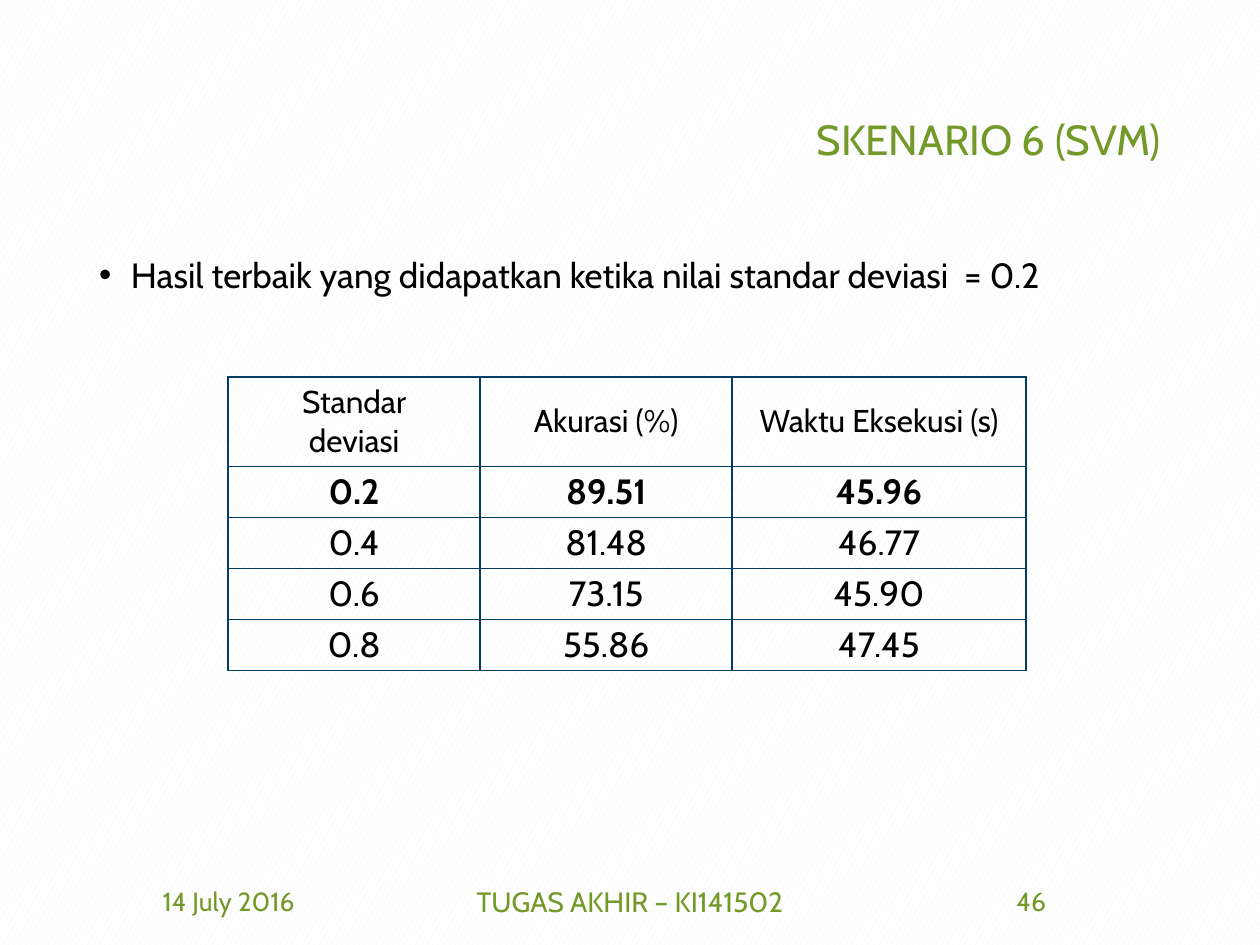
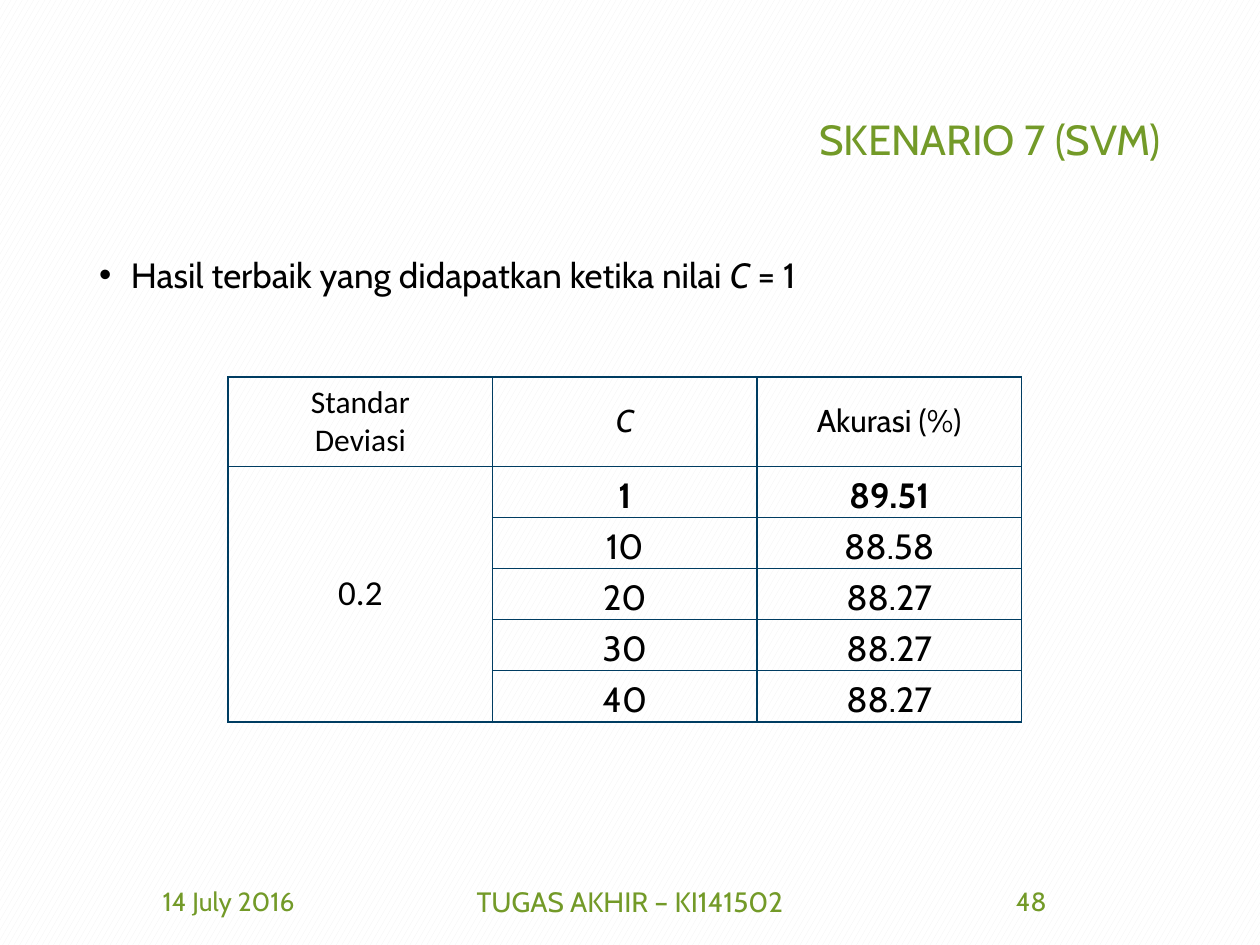
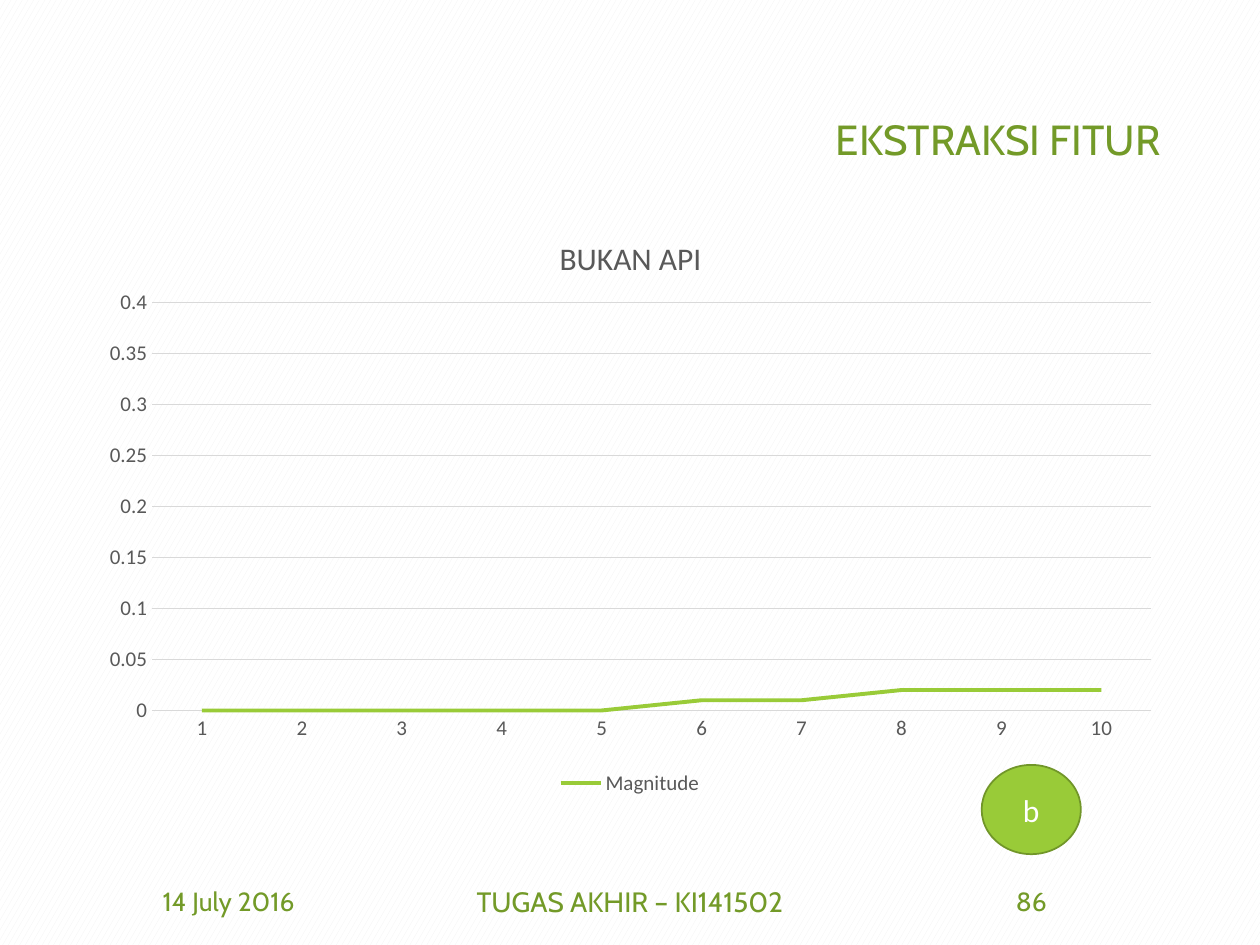
from dataclasses import dataclass

from lxml.etree import SubElement
from pptx import Presentation
from pptx.chart.data import CategoryChartData
from pptx.dml.color import RGBColor
from pptx.enum.chart import XL_CHART_TYPE, XL_LEGEND_POSITION, XL_TICK_MARK
from pptx.enum.dml import MSO_PATTERN
from pptx.enum.shapes import MSO_SHAPE
from pptx.enum.text import MSO_ANCHOR, PP_ALIGN
from pptx.oxml.ns import qn
from pptx.util import Cm, Pt

DATE = "14 July 2016"
FOOTER = "TUGAS AKHIR – KI141502"

TABLE_PAGES = [
    {
        "title": "SKENARIO 6 (SVM)",
        "number": "46",
        "finding": [("Hasil terbaik yang didapatkan ketika nilai standar deviasi  = 0.2", False)],
        "header": ["Standar\ndeviasi", "Akurasi (%)", "Waktu Eksekusi (s)"],
        "rows": [
            ["0.2", "89.51", "45.96"],
            ["0.4", "81.48", "46.77"],
            ["0.6", "73.15", "45.90"],
            ["0.8", "55.86", "47.45"],
        ],
        "widths": [5.08, 5.08, 5.92],
        "label_anchor": MSO_ANCHOR.TOP,
        "value_anchor": MSO_ANCHOR.MIDDLE,
        "shared_deviation": False,
    },
    {
        "title": "SKENARIO 7 (SVM)",
        "number": "48",
        "finding": [("Hasil terbaik yang didapatkan ketika nilai ", False), ("C", True), (" = 1", False)],
        "header": ["Standar\nDeviasi", "C", "Akurasi (%)"],
        "rows": [
            ["0.2", "1", "89.51"],
            ["", "10", "88.58"],
            ["", "20", "88.27"],
            ["", "30", "88.27"],
            ["", "40", "88.27"],
        ],
        "widths": [5.33, 5.33, 5.33],
        "label_anchor": MSO_ANCHOR.MIDDLE,
        "value_anchor": MSO_ANCHOR.BOTTOM,
        "shared_deviation": True,
    },
]

CHART_PAGE = {
    "title": "EKSTRAKSI FITUR",
    "number": "86",
    "chart_title": "BUKAN API",
    "series": "Magnitude",
    "values": [0, 0, 0, 0, 0, 0.01, 0.01, 0.02, 0.02, 0.02],
    "badge": "b",
}


@dataclass(frozen=True)
class Theme:
    font: str = "Cabin"
    plain_font: str = "Calibri"
    green: str = "739A28"
    lime: str = "99CB38"
    lime_edge: str = "719629"
    navy: str = "003D62"
    black: str = "000000"
    white: str = "FFFFFF"
    pattern: str = "F2F2F2"
    gray: str = "595959"
    grid: str = "D9D9D9"
    title_size: int = 24
    body_size: int = 20
    label_size: int = 18
    footer_size: int = 16
    small_size: int = 15
    axis_size: int = 12


THEME = Theme()
MARGIN, CONTENT_WIDTH = 1.75, 21.9
TABLE_LEFT, TABLE_TOP = 4.6, 7.6
HEADER_HEIGHT, ROW_HEIGHT = 1.8, 1.03


def rgb(value):
    return RGBColor.from_string(value)


def set_font(font, size, color, name=THEME.font, bold=False):
    font.name, font.size, font.bold = name, Pt(size), bold
    font.color.rgb = rgb(color)


def add_box(page, left, top, width, height, anchor=MSO_ANCHOR.MIDDLE):
    frame = page.shapes.add_textbox(Cm(left), Cm(top), Cm(width), Cm(height)).text_frame
    frame.word_wrap = True
    frame.vertical_anchor = anchor
    return frame.paragraphs[0]


def add_page(deck, title, number):
    """Add a page with the shared background, title and footer."""
    page = deck.slides.add_slide(deck.slide_layouts[6])
    fill = page.background.fill
    fill.patterned()
    fill.pattern = MSO_PATTERN.LARGE_CONFETTI
    fill.fore_color.rgb, fill.back_color.rgb = rgb(THEME.pattern), rgb(THEME.white)

    para = add_box(page, MARGIN, 1.02, CONTENT_WIDTH, 3.68)
    para.text, para.alignment, para.line_spacing = title, PP_ALIGN.RIGHT, 0.9
    set_font(para.font, THEME.title_size, THEME.green)

    footers = [
        (DATE, MARGIN, 5.72, THEME.small_size),
        (FOOTER, 8.41, 8.58, THEME.footer_size),
        (number, 17.93, 5.72, THEME.small_size),
    ]
    for text, left, width, size in footers:
        para = add_box(page, left, 17.65, width, 1.02)
        para.text, para.alignment = text, PP_ALIGN.CENTER
        set_font(para.font, size, THEME.green)
    return page


def add_finding(page, spans):
    para = add_box(page, MARGIN, 5.08, CONTENT_WIDTH, 12.1, MSO_ANCHOR.TOP)
    properties = para._p.get_or_add_pPr()
    properties.set("marL", str(Cm(0.64)))
    properties.set("indent", str(-Cm(0.64)))
    SubElement(properties, qn("a:buFont"), typeface="Arial")
    SubElement(properties, qn("a:buChar"), char="•")
    para.line_spacing = 0.9
    set_font(para.font, THEME.body_size, THEME.black)
    for text, italic in spans:
        span = para.add_run()
        span.text, span.font.italic = text, italic


def add_borders(cell):
    properties = cell._tc.get_or_add_tcPr()
    for side in ("lnL", "lnR", "lnT", "lnB"):
        line = SubElement(properties, qn(f"a:{side}"), w=str(Pt(1)))
        fill = SubElement(line, qn("a:solidFill"))
        SubElement(fill, qn("a:srgbClr"), val=THEME.navy)


def add_results(page, content):
    rows = [content["header"], *content["rows"]]
    widths = content["widths"]
    heights = [HEADER_HEIGHT] + [ROW_HEIGHT] * len(content["rows"])
    table = page.shapes.add_table(
        len(rows), len(widths), Cm(TABLE_LEFT), Cm(TABLE_TOP), Cm(sum(widths)), Cm(sum(heights))
    ).table
    table.first_row = table.horz_banding = False
    for column, width in zip(table.columns, widths):
        column.width = Cm(width)
    for row, height in zip(table.rows, heights):
        row.height = Cm(height)
    if content["shared_deviation"]:
        table.cell(1, 0).merge(table.cell(len(rows) - 1, 0))

    for r, texts in enumerate(rows):
        for c, text in enumerate(texts):
            cell = table.cell(r, c)
            if cell.is_spanned:
                continue
            add_borders(cell)
            cell.fill.background()
            cell.text = text
            shared = content["shared_deviation"] and c == 0
            if r == 0:
                cell.vertical_anchor = content["label_anchor"] if c == 0 else MSO_ANCHOR.MIDDLE
            elif shared:
                cell.vertical_anchor = MSO_ANCHOR.MIDDLE
            else:
                cell.vertical_anchor = content["value_anchor"]
                cell.margin_left = cell.margin_right = Cm(0.18)
                cell.margin_top = cell.margin_bottom = 0
            for para in cell.text_frame.paragraphs:
                para.alignment = PP_ALIGN.CENTER
                set_font(
                    para.font,
                    THEME.body_size if r else THEME.label_size,
                    THEME.black,
                    THEME.plain_font if shared else THEME.font,
                    bold=r == 1 and not shared,
                )
                para.font.italic = text == "C"


def place_in_chart(parent, index, **settings):
    """Give a chart part a manual layout, in fractions of the chart."""
    for old in parent.findall(qn("c:layout")):
        parent.remove(old)
    layout = SubElement(parent, qn("c:layout"))
    parent.insert(index, layout)
    manual = SubElement(layout, qn("c:manualLayout"))
    for name, value in settings.items():
        SubElement(manual, qn(f"c:{name}"), val=str(value))


def add_magnitude_chart(page, content):
    data = CategoryChartData()
    data.categories = [str(n + 1) for n in range(len(content["values"]))]
    data.add_series(content["series"], content["values"])
    chart = page.shapes.add_chart(
        XL_CHART_TYPE.LINE, Cm(MARGIN), Cm(4.04), Cm(CONTENT_WIDTH), Cm(12.1), data
    ).chart
    set_font(chart.font, THEME.axis_size, THEME.gray, THEME.plain_font)

    chart.has_title = True
    title = chart.chart_title
    title.text_frame.text = content["chart_title"]
    set_font(title.text_frame.paragraphs[0].font, THEME.label_size, THEME.gray, THEME.plain_font)
    place_in_chart(title._element, 1, xMode="edge", yMode="edge", x=0.43, y=0.05)
    place_in_chart(
        chart._chartSpace.chart.plotArea, 0,
        layoutTarget="inner", xMode="edge", yMode="edge", x=0.06, y=0.17, w=0.92, h=0.68,
    )

    chart.has_legend = True
    chart.legend.position = XL_LEGEND_POSITION.BOTTOM
    chart.legend.include_in_layout = False

    magnitudes, steps = chart.value_axis, chart.category_axis
    for axis in (magnitudes, steps):
        axis.major_tick_mark = axis.minor_tick_mark = XL_TICK_MARK.NONE
        set_font(axis.tick_labels.font, THEME.axis_size, THEME.gray, THEME.plain_font)
    magnitudes.minimum_scale, magnitudes.maximum_scale, magnitudes.major_unit = 0, 0.4, 0.05
    magnitudes.tick_labels.number_format = "General"
    magnitudes.tick_labels.number_format_is_linked = False
    magnitudes.format.line.fill.background()

    plot = chart.plots[0]
    plot.vary_by_categories = False
    series = plot.series[0]
    series.smooth = False
    lines = [
        (magnitudes.major_gridlines, THEME.grid, 0.75),
        (steps, THEME.grid, 0.75),
        (series, THEME.lime, 2.25),
    ]
    for part, color, width in lines:
        part.format.line.color.rgb = rgb(color)
        part.format.line.width = Pt(width)


def add_badge(page, text):
    badge = page.shapes.add_shape(MSO_SHAPE.OVAL, Cm(19.79), Cm(15.42), Cm(2.0), Cm(1.8))
    badge.shadow.inherit = False
    badge.fill.solid()
    badge.fill.fore_color.rgb = rgb(THEME.lime)
    badge.line.color.rgb = rgb(THEME.lime_edge)
    badge.line.width = Pt(1)
    badge.text_frame.vertical_anchor = MSO_ANCHOR.MIDDLE
    para = badge.text_frame.paragraphs[0]
    para.text, para.alignment = text, PP_ALIGN.CENTER
    set_font(para.font, THEME.label_size, THEME.white, THEME.plain_font)


def main():
    deck = Presentation()
    deck.slide_width, deck.slide_height = Cm(25.4), Cm(19.05)
    for content in TABLE_PAGES:
        page = add_page(deck, content["title"], content["number"])
        add_finding(page, content["finding"])
        add_results(page, content)
    page = add_page(deck, CHART_PAGE["title"], CHART_PAGE["number"])
    add_magnitude_chart(page, CHART_PAGE)
    add_badge(page, CHART_PAGE["badge"])
    deck.save("out.pptx")


if __name__ == "__main__":
    main()
